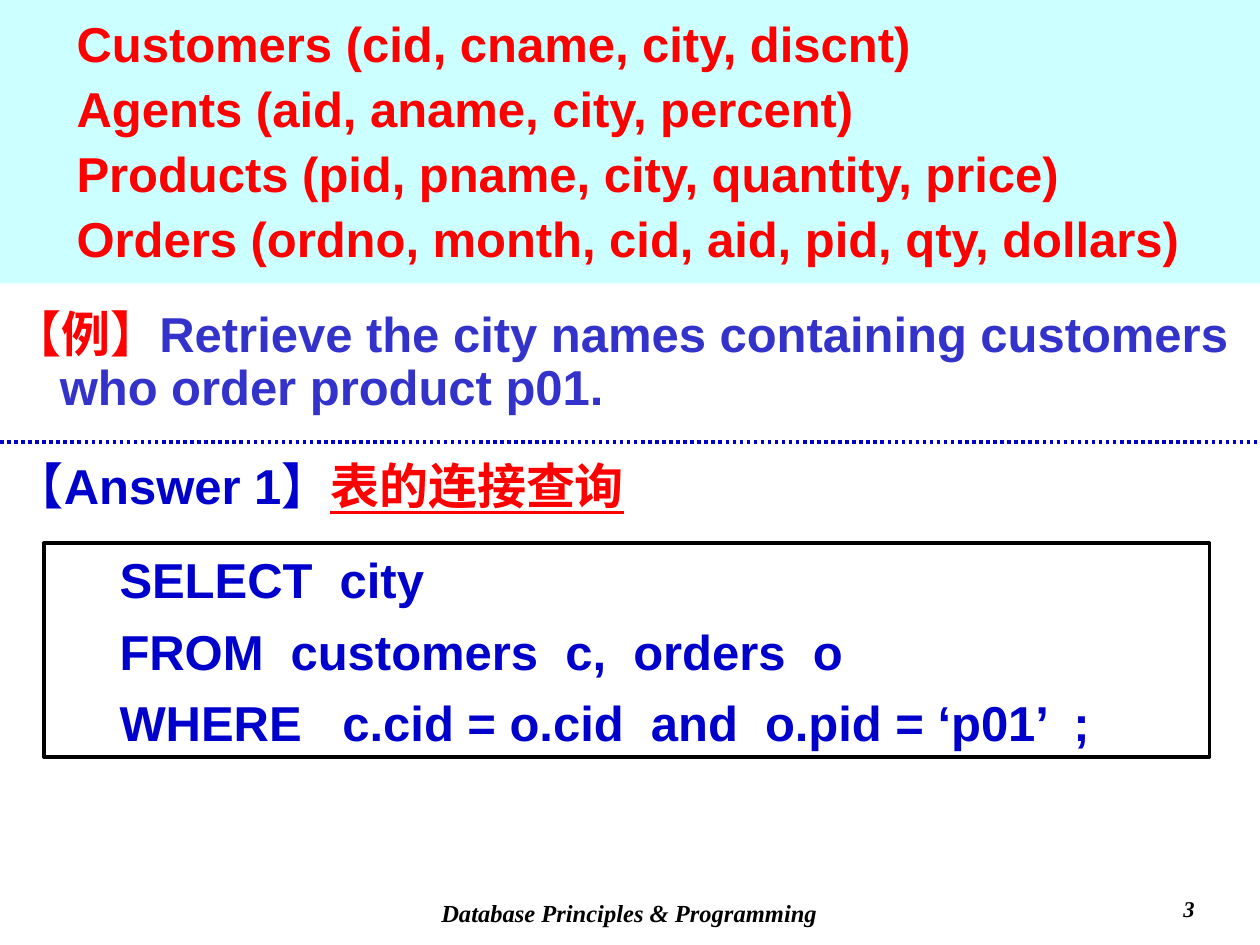
import pptx
import pptx.util
import pptx.dml.color
import pptx.enum.dml
import pptx.enum.shapes
import pptx.enum.text
import pptx.oxml.ns
from lxml import etree

Pt = pptx.util.Pt
RGB = pptx.dml.color.RGBColor
ALIGN = pptx.enum.text.PP_ALIGN
ANCHOR = pptx.enum.text.MSO_ANCHOR
qn = pptx.oxml.ns.qn

BLACK = RGB(0, 0, 0)
WHITE = RGB(255, 255, 255)
RED = RGB(255, 0, 0)
BLUE = RGB(0, 0, 0xCC)
INDIGO = RGB(0x33, 0x33, 0xCC)
CYAN = RGB(0xCC, 255, 255)


def write(p, text, font="Arial", size=28, color=BLUE, italic=False, underline=False):
    r = p.add_run()
    r.text = text
    f = r.font
    f.name, f.size, f.bold = font, Pt(size), True
    f.italic, f.underline = italic, underline
    f.color.rgb = color


def layout(p, align=ALIGN.LEFT, margin=0, indent=0, before=0, spacing=1.0):
    p.alignment = align
    p.space_before = Pt(before)
    p.line_spacing = spacing
    pPr = p._p.get_or_add_pPr()
    pPr.set("marL", str(Pt(margin)))
    pPr.set("indent", str(Pt(indent)))
    etree.SubElement(pPr, qn("a:buNone"))


class Slide:
    footer_style = dict(font="Times New Roman", color=BLACK, italic=True)

    def __init__(self, prs):
        self.s = prs.slides.add_slide(prs.slide_layouts[1])
        title = self.s.shapes.title
        title._element.getparent().remove(title._element)

    def fill_text(self, sp, paragraphs, anchor=ANCHOR.TOP, **fmt):
        tf = sp.text_frame
        tf.word_wrap = True
        tf.auto_size = pptx.enum.text.MSO_AUTO_SIZE.NONE
        tf.vertical_anchor = anchor
        for i, runs in enumerate(paragraphs):
            p = tf.add_paragraph() if i else tf.paragraphs[0]
            layout(p, **fmt)
            for text, style in runs:
                write(p, text, **style)

    def body(self, x, y, w, h, paragraphs, **fmt):
        sp = self.s.placeholders[1]
        sp.left, sp.top, sp.width, sp.height = Pt(x), Pt(y), Pt(w), Pt(h)
        self.fill_text(sp, paragraphs, **fmt)

    def text(self, x, y, w, h, paragraphs, **fmt):
        sp = self.s.shapes.add_textbox(Pt(x), Pt(y), Pt(w), Pt(h))
        self.fill_text(sp, paragraphs, **fmt)

    def rect(self, x, y, w, h, fill, line=None):
        sp = self.s.shapes.add_shape(
            pptx.enum.shapes.MSO_SHAPE.RECTANGLE, Pt(x), Pt(y), Pt(w), Pt(h))
        sp.shadow.inherit = False
        sp.fill.solid()
        sp.fill.fore_color.rgb = fill
        if line is None:
            sp.line.fill.background()
        else:
            sp.line.color.rgb = line
            sp.line.width = Pt(2)
        return sp

    def rule(self, x1, x2, y, color):
        c = self.s.shapes.add_connector(
            pptx.enum.shapes.MSO_CONNECTOR.STRAIGHT, Pt(x1), Pt(y), Pt(x2), Pt(y))
        c.line.color.rgb = color
        c.line.width = Pt(2)
        c.line.dash_style = pptx.enum.dml.MSO_LINE.ROUND_DOT
        etree.SubElement(c._element.spPr, qn("a:effectLst"))


def main():
    prs = pptx.Presentation()
    prs.slide_width, prs.slide_height = Pt(720), Pt(540)
    s = Slide(prs)

    s.text(203.76, 509.76, 311.76, 23.76,
           [[("Database Principles & Programming", dict(size=14, **s.footer_style))]],
           align=ALIGN.CENTER)
    s.text(540, 509.76, 149.76, 23.76,
           [[("3", dict(size=12.9, **s.footer_style))]],
           align=ALIGN.RIGHT, spacing=0.9)

    s.body(0, 173.52, 720, 67.68,
           [[("【例】", dict(color=RED)),
             ("Retrieve the city names containing customers who order product p01.",
              dict(color=INDIGO))]],
           margin=27, indent=-27, before=7, spacing=0.9)

    query = ["SELECT  city",
             "FROM  customers  c,  orders  o",
             "WHERE   c.cid = o.cid  and  o.pid = ‘p01’  ;"]
    box = s.rect(25.2, 310.32, 666, 122.4, WHITE, BLACK)
    s.fill_text(box, [[(line, {})] for line in query], anchor=ANCHOR.BOTTOM,
                margin=72, indent=-36, before=7)

    s.text(1.44, 257.04, 403.92, 41.04,
           [[("【Answer 1】", {}),
             ("表的连接查询", dict(color=RED, underline=True))]])
    s.rule(0, 720, 252.72, BLUE)

    tables = ["Customers (cid, cname, city, discnt)",
              "Agents (aid, aname, city, percent)",
              "Products (pid, pname, city, quantity, price)",
              "Orders (ordno, month, cid, aid, pid, qty, dollars)"]
    s.rect(0, -2.16, 720, 164.16, CYAN)
    s.text(36.72, 3.6, 657.36, 152.64,
           [[(table, dict(color=RED))] for table in tables],
           anchor=ANCHOR.BOTTOM, margin=27, indent=-27, before=3.5)

    prs.save("out.pptx")


if __name__ == "__main__":
    main()
